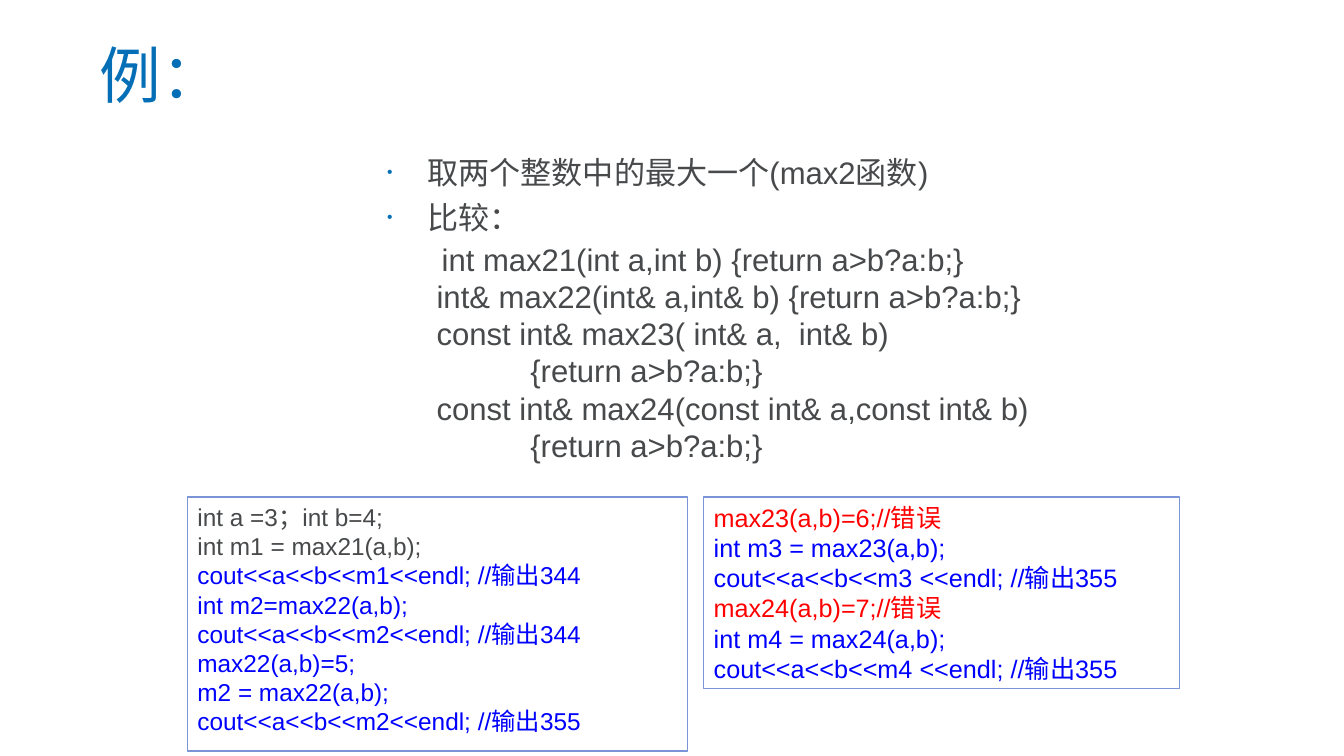
from lxml import etree
from pptx import Presentation
from pptx.dml.color import RGBColor
from pptx.enum.shapes import MSO_SHAPE
from pptx.enum.text import MSO_ANCHOR, MSO_AUTO_SIZE, PP_ALIGN
from pptx.oxml.ns import qn
from pptx.util import Pt

PX = 9144  # 100 px to the inch
RECT = MSO_SHAPE.RECTANGLE
TOP, MIDDLE = MSO_ANCHOR.TOP, MSO_ANCHOR.MIDDLE
NO_FIT = MSO_AUTO_SIZE.NONE
LEFT = PP_ALIGN.LEFT

FONT = "Arial"
TITLE_BLUE = RGBColor(0x04, 0x6F, 0xB6)
GREY = RGBColor(0x47, 0x49, 0x4B)
BLUE = RGBColor(0x00, 0x00, 0xFF)
RED = RGBColor(0xFF, 0x00, 0x00)
BORDER = RGBColor(0x7B, 0x93, 0xD7)
WHITE = RGBColor(0xFF, 0xFF, 0xFF)


def place(sp, left, top, width, height, anchor):
    sp.left, sp.top = left * PX, top * PX
    sp.width, sp.height = width * PX, height * PX
    tf = sp.text_frame
    tf.word_wrap = True
    tf.auto_size = NO_FIT
    tf.vertical_anchor = anchor
    return tf


def style(r, size, color):
    r.font.name = FONT
    r.font.size = Pt(size)
    r.font.color.rgb = color


prs = Presentation()
prs.slide_width, prs.slide_height = 1333 * PX, 750 * PX
slide = prs.slides.add_slide(prs.slide_layouts[1])
title, body = slide.placeholders

# Title
tf = place(title, 89, 30, 1178, 95, MIDDLE)
tf.text = "例："
p = tf.paragraphs[0]
p.alignment = LEFT
p.line_spacing = 0.9
style(p.runs[0], 44, TITLE_BLUE)

# Body: (text, left margin in px, is a bullet)
BODY = [
    ("取两个整数中的最大一个(max2函数)", 40, True),
    ("比较：", 40, True),
    ("int max21(int a,int b) {return a>b?a:b;}", 54, False),
    ("int& max22(int& a,int& b) {return a>b?a:b;}", 49, False),
    ("const int& max23( int& a,  int& b)", 49, False),
    ("{return a>b?a:b;}", 142, False),
    ("const int& max24(const int& a,const int& b)", 49, False),
    ("{return a>b?a:b;}", 142, False),
]
tf = place(body, 374, 147, 833, 331, TOP)
tf.text = "\n".join(text for text, _, _ in BODY)
for p, (_, margin, bullet) in zip(tf.paragraphs, BODY):
    p.line_spacing = Pt(26.6)
    p.space_before = Pt(3 if bullet else 0)
    p.space_after = Pt(0)
    style(p.runs[0], 22.2, GREY)
    pPr = p._p.get_or_add_pPr()
    pPr.set("marL", str(margin * PX))
    pPr.set("indent", str(-40 * PX if bullet else 0))
    if bullet:
        p.space_after = Pt(3)
        clr = etree.SubElement(pPr, qn("a:buClr"))
        etree.SubElement(clr, qn("a:srgbClr"), val=str(TITLE_BLUE))
        etree.SubElement(pPr, qn("a:buSzPct"), val="50000")
        etree.SubElement(pPr, qn("a:buFont"), typeface=FONT)
        etree.SubElement(pPr, qn("a:buChar"), char="•")
    else:
        etree.SubElement(pPr, qn("a:buNone"))

# Code boxes: position, text size, space before, coloured lines
CODE = [
    ((186, 493, 496, 252), 17.4, 7, [
        ("int a =3；int b=4;", GREY),
        ("int m1 = max21(a,b);", GREY),
        ("cout<<a<<b<<m1<<endl; //输出344", BLUE),
        ("int m2=max22(a,b);", BLUE),
        ("cout<<a<<b<<m2<<endl; //输出344", BLUE),
        ("max22(a,b)=5;", BLUE),
        ("m2 = max22(a,b);", BLUE),
        ("cout<<a<<b<<m2<<endl; //输出355", BLUE),
    ]),
    ((698, 493, 472, 190), 18, 0, [
        ("max23(a,b)=6;//错误", RED),
        ("int m3 = max23(a,b);", BLUE),
        ("cout<<a<<b<<m3 <<endl; //输出355", BLUE),
        ("max24(a,b)=7;//错误", RED),
        ("int m4 = max24(a,b);", BLUE),
        ("cout<<a<<b<<m4 <<endl; //输出355", BLUE),
    ]),
]
for box, size, before, lines in CODE:
    sp = slide.shapes.add_shape(RECT, 0, 0, PX, PX)
    sp.shadow.inherit = False
    sp.fill.solid()
    sp.fill.fore_color.rgb = WHITE
    sp.line.color.rgb = BORDER
    sp.line.width = Pt(1)
    tf = place(sp, *box, TOP)
    p = tf.paragraphs[0]
    p.text = "\v".join(text for text, _ in lines)
    p.alignment = LEFT
    p.line_spacing = Pt(round(size * 1.2, 1))
    p.space_before = Pt(before)
    for r, (_, color) in zip(p.runs, lines):
        style(r, size, color)

prs.save("out.pptx")
